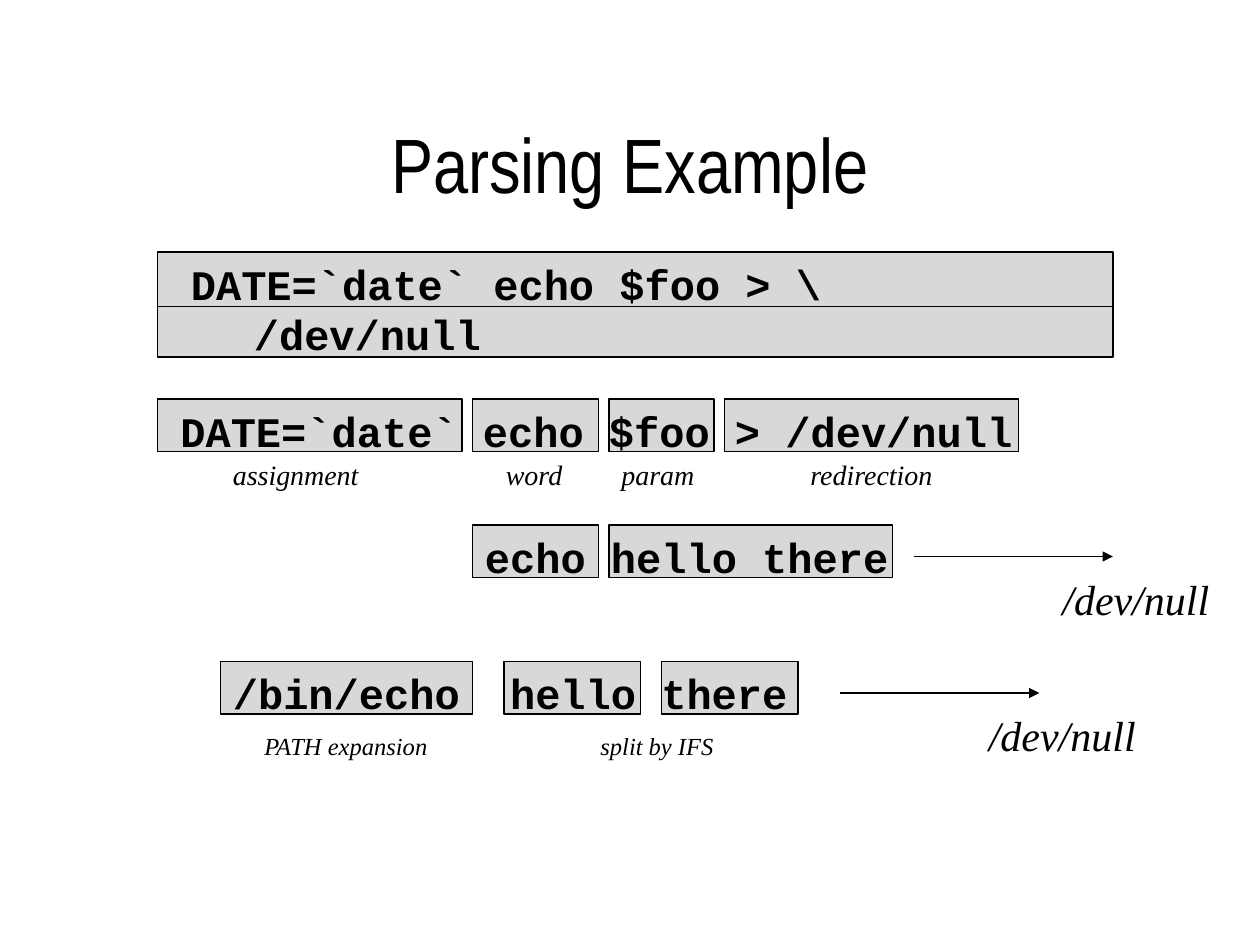
from dataclasses import dataclass

from lxml.etree import SubElement
from pptx import Presentation
from pptx.dml.color import RGBColor
from pptx.enum.shapes import MSO_CONNECTOR, MSO_SHAPE
from pptx.enum.text import MSO_ANCHOR, MSO_AUTO_SIZE, PP_ALIGN
from pptx.oxml.ns import qn
from pptx.util import Inches, Pt

BLACK = RGBColor(0x00, 0x00, 0x00)
GRAY = RGBColor(0xB2, 0xB2, 0xB2)
CODE, PROSE, HEADING = "Courier New", "Times New Roman", "Arial Narrow"
UNIT = Inches(1) / 12
TOKEN_ROWS = 5


@dataclass
class Box:
    left: float
    top: float
    width: float
    height: float

    def inner(self, column, row, width, height):
        return Box(self.left + column, self.top + row, width, height)

    def emu(self):
        return [round(value * UNIT) for value in (self.left, self.top, self.width, self.height)]


def add_panel(page, box):
    panel = page.shapes.add_shape(MSO_SHAPE.RECTANGLE, *box.emu())
    panel.shadow.inherit = False
    panel.fill.solid()
    panel.fill.fore_color.rgb = GRAY
    color = panel.fill._xPr.find(qn("a:solidFill"))[0]
    SubElement(color, qn("a:alpha"), val="50000")
    panel.line.color.rgb = BLACK
    panel.line.width = Pt(0.75)


def style(para, font_name, size):
    para.font.name = font_name
    para.font.size = Pt(size)
    para.font.color.rgb = BLACK


def add_text(page, box, text, font_name=CODE, size=24):
    frame = page.shapes.add_textbox(*box.emu()).text_frame
    frame.word_wrap = True
    frame.auto_size = MSO_AUTO_SIZE.SHAPE_TO_FIT_TEXT
    frame.text = text
    para = frame.paragraphs[0]
    para.space_before = Pt(round(size * 0.625, 1))
    style(para, font_name, size)
    para.font.bold = font_name == CODE
    para.font.italic = font_name == PROSE
    return para


def add_line(page, box, arrow=False):
    left, top, width, height = box.emu()
    line = page.shapes.add_connector(MSO_CONNECTOR.STRAIGHT, left, top, left + width, top)
    line.line.color.rgb = BLACK
    line.line.width = Pt(0.75)
    if arrow:
        SubElement(line.line._get_or_add_ln(), qn("a:tailEnd"), type="triangle")
    SubElement(line._element.spPr, qn("a:effectLst"))


def place_title(page, box):
    title = page.shapes.title
    title.left, title.top, title.width, title.height = box.emu()
    title.text_frame.text = "Parsing Example"
    title.text_frame.vertical_anchor = MSO_ANCHOR.MIDDLE
    para = title.text_frame.paragraphs[0]
    para.alignment = PP_ALIGN.CENTER
    style(para, HEADING, 44)


def place_command(page, box):
    add_panel(page, box)
    add_text(page, box.inner(2, 0, box.width - 2, box.height + 0.8),
             "DATE=`date` echo $foo > \\\v\t/dev/null")
    add_line(page, box.inner(0, 5.2, box.width, 0))


def place_tokens(page, box, cells, text, indent=0, captions=(), caption_row=5, caption_size=16):
    for column, width in cells:
        add_panel(page, box.inner(column, 0, width, TOKEN_ROWS))
    para = add_text(page, box.inner(indent, 0, box.width, 6), text)
    for column, width, caption in captions:
        add_text(page, box.inner(column, caption_row, width, 4.4), caption, PROSE, caption_size)
    return para


def place_redirect(page, box):
    add_line(page, box, arrow=True)
    add_text(page, box.inner(13, 1, 17, 6), "/dev/null", PROSE)


def main():
    deck = Presentation()
    deck.slide_width, deck.slide_height = Inches(10), Inches(7.5)
    page = deck.slides.add_slide(deck.slide_layouts[5])

    place_title(page, Box(9, 8, 102, 15))
    place_command(page, Box(15, 24, 91, 10))
    place_tokens(page, Box(15, 38, 89, TOKEN_ROWS),
                 [(0, 29), (30, 12), (43, 10), (54, 28)],
                 "DATE=`date` echo $foo > /dev/null", indent=1,
                 captions=[(6, 16, "assignment"), (32, 9, "word"),
                           (43, 11, "param"), (61, 15, "redirection")])
    place_tokens(page, Box(45, 50, 45, TOKEN_ROWS),
                 [(0, 12), (13, 27)], "echo hello there")
    place_redirect(page, Box(87, 53, 19, 0))
    path_line = place_tokens(page, Box(21, 63, 59, TOKEN_ROWS),
                             [(0, 24), (27, 13), (42, 13)], "/bin/echo\thello there",
                             captions=[(3, 21, "PATH expansion"), (35, 14, "split by IFS")],
                             caption_row=6, caption_size=14)
    tabs = SubElement(path_line._p.get_or_add_pPr(), qn("a:tabLst"))
    SubElement(tabs, qn("a:tab"), pos=str(Inches(2.2)), algn="l")
    properties = path_line._p.pPr
    properties.insert(list(properties).index(properties.find(qn("a:defRPr"))), tabs)
    place_redirect(page, Box(80, 66, 19, 0))

    deck.save("out.pptx")


if __name__ == "__main__":
    main()
